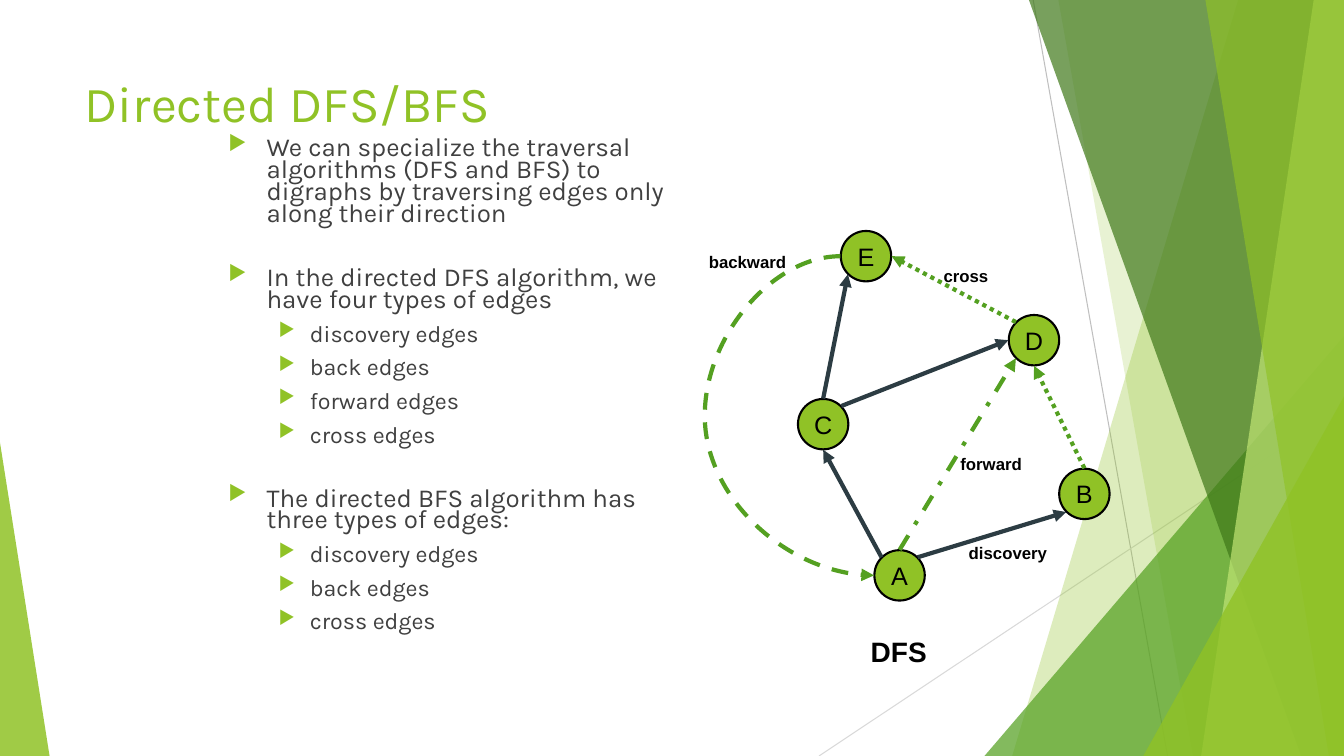
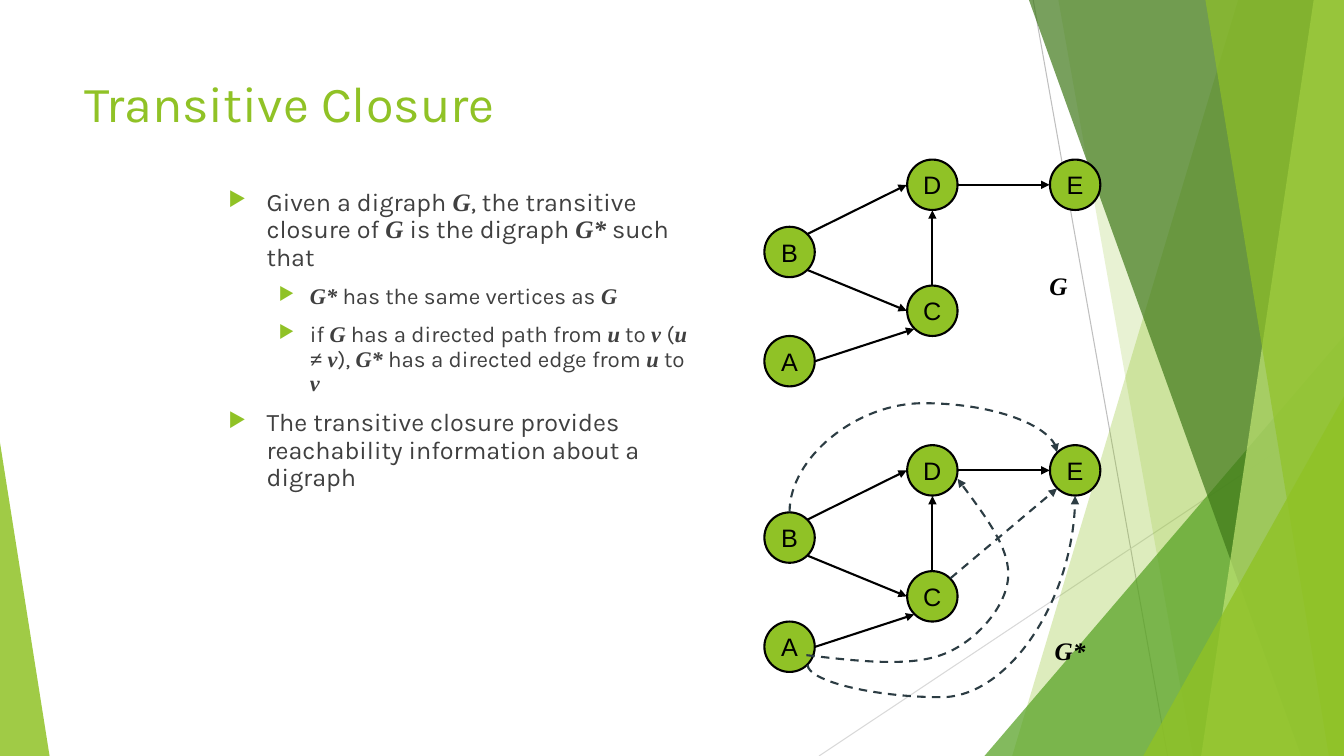
from math import cos, pi, sin

from lxml.etree import SubElement
from pptx import Presentation
from pptx.dml.color import RGBColor
from pptx.enum.dml import MSO_LINE
from pptx.enum.shapes import MSO_CONNECTOR, MSO_SHAPE
from pptx.enum.text import MSO_ANCHOR, PP_ALIGN
from pptx.oxml.ns import qn
from pptx.util import Inches, Pt

COLORS = {name: RGBColor.from_string(value) for name, value in {
    "lime": "90C226", "green": "54A021", "forest": "3F7819", "pale": "C0E474",
    "slate": "2C3C43", "text": "404040", "black": "000000",
    "gray": "BFBFBF", "silver": "D9D9D9"}.items()}
COLS, ROWS = 160, 90  # grid of 1/12 inch squares
NODE = 6
RADIUS = NODE / 2 + 0.05


def grid(*units):
    """Turn grid units into lengths."""
    return [Inches(unit / 12) for unit in units]


def stroke(shape, color, width, dash=None, arrow=False):
    """Style an outline or line, without a shadow."""
    shape.line.color.rgb = COLORS[color]
    shape.line.width = Pt(width)
    if dash:
        shape.line.dash_style = dash
    spPr = shape._element.spPr
    if arrow:
        SubElement(spPr.find(qn("a:ln")), qn("a:tailEnd"), type="triangle")
    SubElement(spPr, qn("a:effectLst"))


# Line style of each edge type: colour, width, dash
EDGE_STYLES = {
    "discovery": ("slate", 3, None),
    "back": ("green", 3, MSO_LINE.DASH),
    "forward": ("green", 3, MSO_LINE.DASH_DOT),
    "cross": ("green", 3, MSO_LINE.ROUND_DOT),
    "given": ("black", 1.5, None),
    "added": ("slate", 1.5, MSO_LINE.DASH),
}

# An edge joins two node sites, numbered 0-7 anticlockwise from the top.
# A bend is the x or y that the curve reaches halfway, or a full Bezier path.
dfs_nodes = {"A": (107.1, 68.5), "C": (98, 50.5), "E": (103.1, 30.5),
             "B": (129.1, 58.8), "D": (123.1, 40.5)}
dfs_edges = [
    ("A1", "C4", "discovery", None),
    ("A7", "B3", "discovery", None),
    ("C0", "E3", "discovery", None),
    ("C7", "D2", "discovery", None),
    ("D1", "E6", "cross", None),
    ("B0", "D4", "cross", None),
    ("A0", "D3", "forward", None),
    ("E2", "A2", "back", ("x", 83.9)),
]
g_nodes = {"B": (94, 30), "A": (94, 43), "D": (111, 22), "C": (111, 37), "E": (128, 22)}
g_edges = [(start, end, "given", None) for start, end in (
    ("B7", "D2"), ("B5", "C2"), ("D6", "E2"), ("C0", "D4"), ("A6", "C3"))]
closure_nodes = {name: (x, y + 34) for name, (x, y) in g_nodes.items()}
closure_edges = g_edges + [
    ("B0", "E1", "added", ("y", 48)),
    ("A5", "E4", "added", ("y", 83)),
    ("C7", "E3", "added", None),
    ("A6", "D5", "added", ("path", [
        (96, 78), (102, 78.7), (108, 79.4), (112, 78), (116, 76.6), (119.6, 72.5),
        (120, 69), (120.4, 65.5), (117.1, 61.2), (114, 57)])),
]

# Body paragraphs: level, space before, text with _symbols_ between underscores
SLIDES = [
    {
        "title": "Directed DFS/BFS",
        "body_box": (26, 16, 55, 66),
        "sizes": (18.5, 16.6),
        "line_spacing": 0.7,
        "body": [
            (0, 0, "We can specialize the traversal algorithms (DFS and BFS) to digraphs "
                   "by traversing edges only along their direction"),
            (0, 30.5, "In the directed DFS algorithm, we have four types of edges"),
            (1, 10, "discovery edges"),
            (1, 10, "back edges"),
            (1, 10, "forward edges"),
            (1, 10, "cross edges"),
            (0, 30.5, "The directed BFS algorithm has three types of edges:"),
            (1, 10, "discovery edges"),
            (1, 10, "back edges"),
            (1, 10, "cross edges"),
        ],
        "graphs": [(dfs_nodes, dfs_edges)],
        "label_font": "Arial",
        "labels": [("forward", 112, 53.4, 12), ("discovery", 114, 64, 12),
                   ("cross", 109, 31, 12), ("backward", 83, 29.4, 12),
                   ("DFS", 101, 75, 20)],
    },
    {
        "title": "Transitive Closure",
        "body_box": (26, 22, 58, 57),
        "sizes": (18, 16),
        "line_spacing": 0.9,
        "body": [
            (0, 0, "Given a digraph _G_, the transitive closure of _G_ is the digraph "
                   "_G*_ such that"),
            (1, 10, "_G*_ has the same vertices as _G_"),
            (1, 10, "if _G_ has a directed path from _u_ to _v _(_u ≠ v_), _G*_ has a "
                    "directed edge from _u_ to _v_"),
            (0, 10, "The transitive closure provides reachability information about a "
                    "digraph"),
        ],
        "graphs": [(g_nodes, g_edges), (closure_nodes, closure_edges)],
        "label_font": "Times New Roman",
        "labels": [("G", 120, 31.6, 18), ("G*", 121.4, 75, 18)],
    },
]

# Facets: colour, opacity, and either a band to the right edge (top x, bottom x)
# or a triangle on the bottom edge (left, top, width, apex share)
FACETS = [
    ("lime", 30, (147.4, 120.5)),
    ("lime", 20, (126, 142)),
    ("green", 72, (117.2, 40, 42.8, 1)),
    ("forest", 70, (122.5, 154.9)),
    ("pale", 70, (156.4, 143)),
    ("lime", 65, (143.5, 158.2)),
    ("lime", 80, (136.1, 47.2, 23.9, 1)),
    ("lime", 85, (0, 52.7, 5.9, 0)),
]

prs = Presentation()
prs.slide_width, prs.slide_height = grid(COLS, ROWS)
blank = prs.slide_layouts[6]
slides = [prs.slides.add_slide(blank) for _ in SLIDES]

# Shared backdrop, drawn once and moved to the master
shapes = slides[0].shapes
backdrop = []
for color, ends in (("gray", (123, 0, 139, ROWS)), ("silver", (COLS, 48.4, 97.5, ROWS))):
    line = shapes.add_connector(MSO_CONNECTOR.STRAIGHT, *grid(*ends))
    stroke(line, color, 0.75)
    backdrop.append(line)
for color, opacity, geometry in FACETS:
    if len(geometry) == 2:
        top_x, bottom_x = geometry
        builder = shapes.build_freeform(*grid(top_x, 0))
        builder.add_line_segments(
            [grid(COLS, 0), grid(COLS, ROWS), grid(bottom_x, ROWS)], close=True)
        facet = builder.convert_to_shape()
    else:
        left, top, width, apex = geometry
        facet = shapes.add_shape(
            MSO_SHAPE.ISOSCELES_TRIANGLE, *grid(left, top, width, ROWS - top))
        facet.adjustments[0] = apex
    facet.shadow.inherit = False
    facet.fill.solid()
    facet.fill.fore_color.rgb = COLORS[color]
    facet.line.fill.background()
    SubElement(facet._element.spPr.find(".//" + qn("a:srgbClr")), qn("a:alpha"),
               val=str(opacity * 1000))
    backdrop.append(facet)
for shape in backdrop:
    prs.slide_master.shapes.element.append(shape._element)

for s, content in zip(slides, SLIDES):
    # Title
    tf = s.shapes.add_textbox(*grid(8.9, 8, 112.8, 17.2)).text_frame
    tf.word_wrap = True
    tf.text = content["title"]
    font = tf.paragraphs[0].runs[0].font
    font.name, font.size = "Karla", Pt(36)
    font.color.rgb = COLORS["lime"]

    # Bulleted body
    tf = s.shapes.add_textbox(*grid(*content["body_box"])).text_frame
    tf.word_wrap = True
    for i, (level, space, text) in enumerate(content["body"]):
        p = tf.add_paragraph() if i else tf.paragraphs[0]
        p.level = level
        p.line_spacing = content["line_spacing"]
        p.space_before = Pt(space)
        margin, hanging = ((0.38, 0.38), (0.81, 0.31))[level]
        pPr = p._p.get_or_add_pPr()
        pPr.set("marL", str(Inches(margin)))
        pPr.set("indent", str(-Inches(hanging)))
        SubElement(SubElement(pPr, qn("a:buClr")), qn("a:srgbClr"), val=str(COLORS["lime"]))
        SubElement(pPr, qn("a:buSzPct"), val="80000")
        SubElement(pPr, qn("a:buChar"), char="▶")
        for j, part in enumerate(text.split("_")):
            if not part:
                continue
            symbol = j % 2 == 1
            r = p.add_run()
            r.text = part
            r.font.name = "Times New Roman" if symbol else "Karla"
            r.font.bold = r.font.italic = symbol
            r.font.size = Pt(content["sizes"][level])
            r.font.color.rgb = COLORS["text"]

    for nodes, edges in content["graphs"]:
        for name, (x, y) in nodes.items():
            node = s.shapes.add_shape(
                MSO_SHAPE.OVAL, *grid(x - NODE / 2, y - NODE / 2, NODE, NODE))
            node.fill.solid()
            node.fill.fore_color.rgb = COLORS["lime"]
            stroke(node, "black", 1.5)
            tf = node.text_frame
            tf.word_wrap = False
            tf.vertical_anchor = MSO_ANCHOR.MIDDLE
            tf.text = name
            p = tf.paragraphs[0]
            p.alignment = PP_ALIGN.CENTER
            font = p.runs[0].font
            font.name, font.size = "Arial", Pt(18)
            font.color.rgb = COLORS["black"]

        for start, end, style, bend in edges:
            ends = []
            for name, site in (start, end):
                x, y = nodes[name]
                angle = pi / 2 + int(site) * pi / 4
                ends.append((x + RADIUS * cos(angle), y - RADIUS * sin(angle)))
            (x1, y1), (x2, y2) = ends
            if bend is None:
                edge = s.shapes.add_connector(MSO_CONNECTOR.STRAIGHT, *grid(x1, y1, x2, y2))
            else:
                kind, reach = bend
                if kind == "path":
                    points = reach
                elif kind == "x":
                    middle = [(reach, y1 + (y2 - y1) * k / 4) for k in (1, 2, 3)]
                    points = [(x1, y1), ((x1 + reach) / 2, y1), *middle,
                              ((x2 + reach) / 2, y2), (x2, y2)]
                else:
                    middle = [(x1 + (x2 - x1) * k / 4, reach) for k in (1, 2, 3)]
                    points = [(x1, y1), (x1, (y1 + reach) / 2), *middle,
                              (x2, (y2 + reach) / 2), (x2, y2)]
                builder = s.shapes.build_freeform(*grid(*points[0]))
                builder.add_line_segments([grid(*point) for point in points[1:]], close=False)
                edge = builder.convert_to_shape()
                edge.fill.background()
                # Every three line segments become one Bezier segment
                path = edge._element.find(".//" + qn("a:path"))
                for k, segment in enumerate(path.findall(qn("a:lnTo"))):
                    if k % 3 == 0:
                        bezier = SubElement(path, qn("a:cubicBezTo"))
                    bezier.append(segment[0])
                    path.remove(segment)
            stroke(edge, *EDGE_STYLES[style], arrow=True)

    for text, left, top, size in content["labels"]:
        tf = s.shapes.add_textbox(*grid(left, top, 12, 3.6)).text_frame
        tf.word_wrap = True
        tf.text = text
        p = tf.paragraphs[0]
        p.alignment = PP_ALIGN.CENTER
        font = p.runs[0].font
        font.name, font.size, font.bold = content["label_font"], Pt(size), True
        font.italic = content["label_font"] == "Times New Roman"
        font.color.rgb = COLORS["black"]

prs.save("out.pptx")
